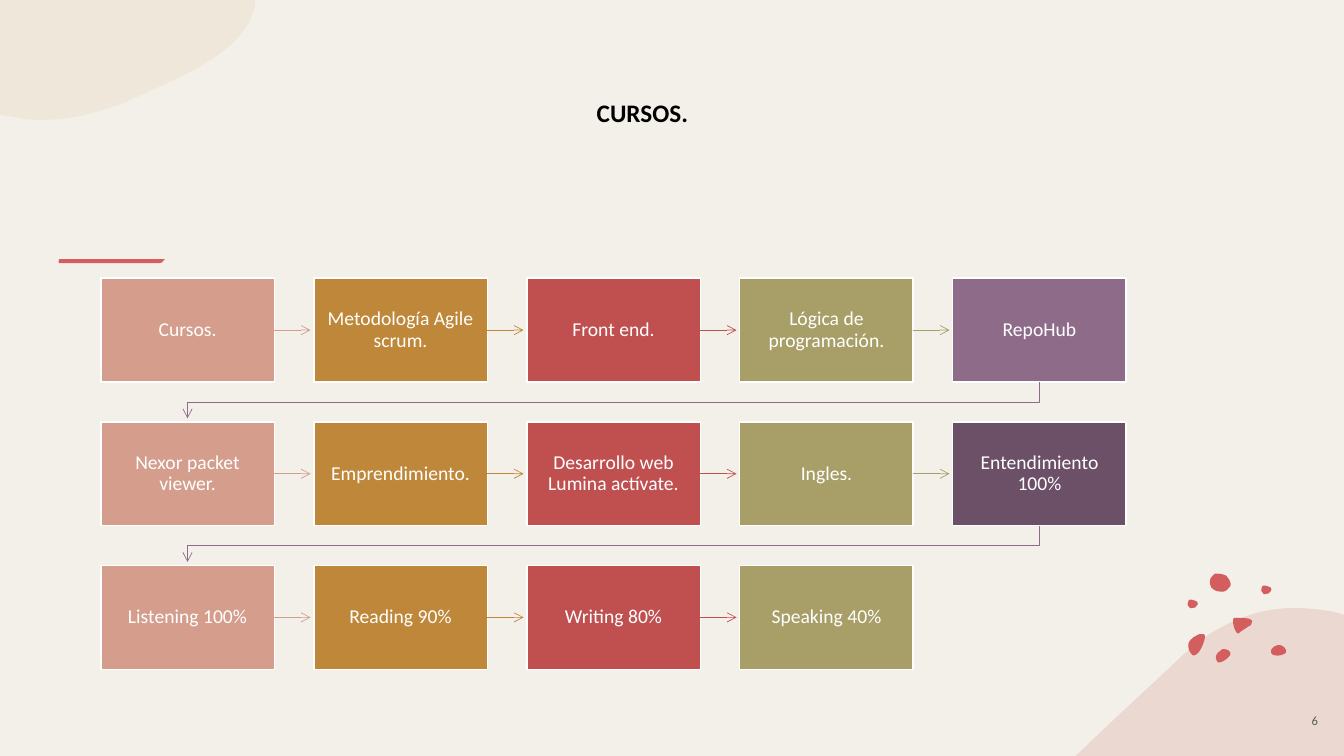
import pptx
import pptx.util
import pptx.dml.color
import pptx.enum.shapes
import pptx.enum.text
import pptx.oxml
import pptx.oxml.ns
from lxml import etree

Inches = pptx.util.Inches
Pt = pptx.util.Pt
ALIGN = pptx.enum.text.PP_ALIGN
ANCHOR = pptx.enum.text.MSO_ANCHOR

TITLE = "CURSOS."
PAGE_NUMBER = "6"
COURSES = [
    ["Cursos.", "Metodología Agile scrum.", "Front end.",
     "Lógica de programación.", "RepoHub"],
    ["Nexor packet viewer.", "Emprendimiento.", "Desarrollo web Lumina actívate.",
     "Ingles.", "Entendimiento 100%"],
    ["Listening 100%", "Reading 90%", "Writing 80%", "Speaking 40%"],
]

THEME = {
    "font": "Calibri",
    "title_size": 18, "course_size": 14, "number_size": 9,
    "background": "F3F0E9", "white": "FFFFFF", "title": "000000", "number": "595959",
    "sand": "E7CFAF", "rose": "E5C4BA", "accent": "D45E5E",
    "columns": ["D49D8C", "BF873A", "C05050", "A89F68", "8F6B8A"],
    "last_step": "6B5068",
}

# Outlines in inches: a pair is a line to a point, six numbers are a Bezier curve.
SAND_CORNER = [
    (0, 0), (2.53, 0), (2.53, 0.06), (2.45, 0.44, 2, 0.67, 1.58, 0.86),
    (1.23, 1.03, 0.86, 1.19, 0.41, 1.19), (0.31, 1.19, 0.22, 1.18, 0.13, 1.16), (0, 1.14),
]
ROSE_CORNER = [
    (12.88, 6.03), (13.01, 6.04, 13.14, 6.05, 13.27, 6.08), (13.33, 6.1), (13.33, 7.5),
    (10.67, 7.5), (10.68, 7.49), (11.02, 7.16, 11.37, 6.84, 11.69, 6.54),
    (11.91, 6.32, 12.14, 6.19, 12.37, 6.11), (12.54, 6.05, 12.71, 6.03, 12.88, 6.03),
]
BRUSH_STROKE = [
    (0.59, 2.57), (0.75, 2.57), (1.11, 2.57), (1.64, 2.57),
    (1.61, 2.58, 1.63, 2.61, 1.57, 2.61), (1.33, 2.61), (0.9, 2.61), (0.61, 2.61),
    (0.57, 2.62, 0.58, 2.58, 0.59, 2.57),
]
SPOTS = [
    [(12.13, 6.44), (12.15, 6.44, 12.16, 6.44, 12.18, 6.45), (12.2, 6.46, 12.21, 6.48, 12.2, 6.5),
     (12.18, 6.53, 12.12, 6.58, 12.08, 6.57), (12.07, 6.56, 12.06, 6.54, 12.06, 6.52),
     (12.06, 6.5, 12.08, 6.47, 12.1, 6.46), (12.11, 6.45, 12.12, 6.44, 12.13, 6.44)],
    [(11.91, 6.29), (11.93, 6.29, 11.95, 6.29, 11.95, 6.31), (11.95, 6.33),
     (11.94, 6.38, 11.92, 6.43, 11.89, 6.47), (11.87, 6.49, 11.84, 6.52, 11.82, 6.49),
     (11.79, 6.46, 11.78, 6.41, 11.79, 6.38), (11.8, 6.35, 11.82, 6.34, 11.84, 6.32),
     (11.85, 6.32, 11.88, 6.29, 11.91, 6.29)],
    [(12.69, 6.4), (12.71, 6.4, 12.74, 6.42, 12.75, 6.44), (12.76, 6.46, 12.76, 6.48, 12.73, 6.49),
     (12.7, 6.51, 12.62, 6.51, 12.61, 6.48), (12.6, 6.46, 12.61, 6.44, 12.62, 6.43),
     (12.64, 6.41, 12.66, 6.4, 12.69, 6.4)],
    [(12.01, 5.81), (12, 5.81, 11.99, 5.75, 12.02, 5.72), (12.04, 5.7, 12.04, 5.69, 12.07, 5.69),
     (12.1, 5.69, 12.14, 5.7, 12.16, 5.71), (12.18, 5.73, 12.22, 5.78, 12.2, 5.82),
     (12.17, 5.85, 12.16, 5.87, 12.12, 5.87), (12.09, 5.87, 12.04, 5.86, 12.03, 5.84),
     (12.01, 5.83, 12.01, 5.82, 12.01, 5.81)],
    [(12.28, 6.13), (12.34, 6.13, 12.45, 6.13, 12.41, 6.19), (12.41, 6.2, 12.4, 6.21, 12.39, 6.21),
     (12.36, 6.23, 12.33, 6.25, 12.3, 6.27), (12.29, 6.28, 12.28, 6.29, 12.27, 6.28),
     (12.26, 6.27), (12.24, 6.23, 12.23, 6.2, 12.23, 6.16),
     (12.23, 6.15, 12.23, 6.14, 12.24, 6.13)],
]
PEBBLE = [
    (0, 0.05), (0, 0.05, 0, 0.01, 0.02, 0), (0.04, 0, 0.05, 0, 0.07, 0.01),
    (0.08, 0.01, 0.1, 0.02, 0.1, 0.04), (0.1, 0.05, 0.09, 0.06, 0.08, 0.07),
    (0.08, 0.07, 0.08, 0.08, 0.06, 0.08), (0.05, 0.08, 0.03, 0.09, 0.02, 0.08),
    (0.01, 0.06, 0, 0.06, 0, 0.05),
]
PEBBLE_PLACES = [(12.51, 5.81), (11.78, 5.95)]

GRID_LEFT, GRID_TOP = 1, 2.76
BOX_WIDTH, BOX_HEIGHT = 1.72, 1.03
COLUMN_STEP = (9.45 - GRID_LEFT) / 4
ROW_STEP = (5.61 - GRID_TOP) / 2
ARROW_LENGTH = 0.36
TURN_DROP = 0.2
CURVE_STEPS = 12


def rgb(colour):
    return pptx.dml.color.RGBColor.from_string(colour)


def flatten(outline):
    """Turn lines and Bezier curves into a list of points."""
    points = [outline[0]]
    for step in outline[1:]:
        if len(step) == 2:
            points.append(step)
            continue
        nodes = [points[-1], step[:2], step[2:4], step[4:]]
        for i in range(1, CURVE_STEPS + 1):
            t = i / CURVE_STEPS
            weights = [(1 - t) ** 3, 3 * t * (1 - t) ** 2, 3 * t * t * (1 - t), t ** 3]
            points.append(tuple(sum(w * node[axis] for w, node in zip(weights, nodes))
                                for axis in (0, 1)))
    return points


def draw_path(page, points, close):
    places = [(Inches(x), Inches(y)) for x, y in points]
    builder = page.shapes.build_freeform(*places[0], scale=1.0)
    builder.add_line_segments(places[1:], close=close)
    shape = builder.convert_to_shape()
    shape.shadow.inherit = False
    return shape


def draw_blob(page, outline, colour, opacity=100):
    blob = draw_path(page, flatten(outline), True)
    blob.fill.solid()
    blob.fill.fore_color.rgb = rgb(colour)
    blob.line.fill.background()
    if opacity < 100:
        tint = blob.element.spPr.find(".//" + pptx.oxml.ns.qn("a:srgbClr"))
        etree.SubElement(tint, pptx.oxml.ns.qn("a:alpha"), val=str(opacity * 1000))


def style_arrow(arrow, colour):
    arrow.line.color.rgb = rgb(colour)
    arrow.line.width = Pt(0.5)
    outline = arrow.element.spPr.find(pptx.oxml.ns.qn("a:ln"))
    etree.SubElement(outline, pptx.oxml.ns.qn("a:tailEnd"), type="arrow")


def write(box, words, size, colour, align=ALIGN.LEFT, anchor=ANCHOR.TOP, bold=False):
    frame = box.text_frame
    frame.word_wrap = True
    frame.vertical_anchor = anchor
    para = frame.paragraphs[0]
    para.alignment = align
    span = para.add_run()
    span.text = words
    span.font.name = THEME["font"]
    span.font.size = Pt(size)
    span.font.bold = bold
    span.font.color.rgb = rgb(colour)
    return frame


def draw_course(page, words, left, top, colour):
    box = page.shapes.add_shape(pptx.enum.shapes.MSO_SHAPE.RECTANGLE, Inches(left), Inches(top),
                                Inches(BOX_WIDTH), Inches(BOX_HEIGHT))
    box.shadow.inherit = False
    box.fill.solid()
    box.fill.fore_color.rgb = rgb(colour)
    box.line.color.rgb = rgb(THEME["white"])
    box.line.width = Pt(1)
    frame = write(box, words, THEME["course_size"], THEME["white"], ALIGN.CENTER, ANCHOR.MIDDLE)
    frame.margin_left = frame.margin_right = Inches(0.08)
    frame.margin_top = frame.margin_bottom = Inches(0.09)
    frame.paragraphs[0].line_spacing = 0.9
    return box


def draw_next_arrow(page, box, colour):
    right, middle = box.left + box.width, box.top + box.height // 2
    arrow = page.shapes.add_connector(pptx.enum.shapes.MSO_CONNECTOR.STRAIGHT, right, middle,
                                      right + Inches(ARROW_LENGTH), middle)
    arrow.begin_connect(box, 3)
    etree.SubElement(arrow.element.spPr, pptx.oxml.ns.qn("a:effectLst"))
    style_arrow(arrow, colour)


def draw_turn_arrow(page, left, bottom, colour):
    """Lead from the last box of a row to the first box of the next."""
    start, end = left + BOX_WIDTH / 2, GRID_LEFT + BOX_WIDTH / 2
    bend = bottom + TURN_DROP
    arrow = draw_path(page, [(start, bottom), (start, bend), (end, bend),
                             (end, bottom + ARROW_LENGTH)], False)
    arrow.fill.background()
    style_arrow(arrow, colour)


def main():
    deck = pptx.Presentation()
    deck.slide_width, deck.slide_height = Inches(13.33), Inches(7.5)
    page = deck.slides.add_slide(deck.slide_layouts[6])
    page.background.fill.solid()
    page.background.fill.fore_color.rgb = rgb(THEME["background"])

    draw_blob(page, SAND_CORNER, THEME["sand"], 25)
    draw_blob(page, BRUSH_STROKE, THEME["accent"])
    draw_blob(page, ROSE_CORNER, THEME["rose"], 50)
    pebbles = [[tuple(n + place[i % 2] for i, n in enumerate(step)) for step in PEBBLE]
               for place in PEBBLE_PLACES]
    for outline in SPOTS + pebbles:
        draw_blob(page, outline, THEME["accent"])

    for row, names in enumerate(COURSES):
        top = GRID_TOP + row * ROW_STEP
        for column, name in enumerate(names):
            left = GRID_LEFT + column * COLUMN_STEP
            colour = THEME["columns"][column]
            final = row == 1 and column == 4
            box = draw_course(page, name, left, top, THEME["last_step"] if final else colour)
            if column + 1 < len(names):
                draw_next_arrow(page, box, colour)
            elif row + 1 < len(COURSES):
                draw_turn_arrow(page, left, top + BOX_HEIGHT, colour)

    title = page.shapes.add_textbox(Inches(5.82), Inches(0.92), Inches(5.97), Inches(0.4))
    write(title, TITLE, THEME["title_size"], THEME["title"], bold=True)
    number = page.shapes.add_textbox(Inches(12.75), Inches(6.95), Inches(0.58), Inches(0.4))
    write(number, PAGE_NUMBER, THEME["number_size"], THEME["number"], ALIGN.CENTER, ANCHOR.MIDDLE)
    deck.save("out.pptx")


if __name__ == "__main__":
    main()
